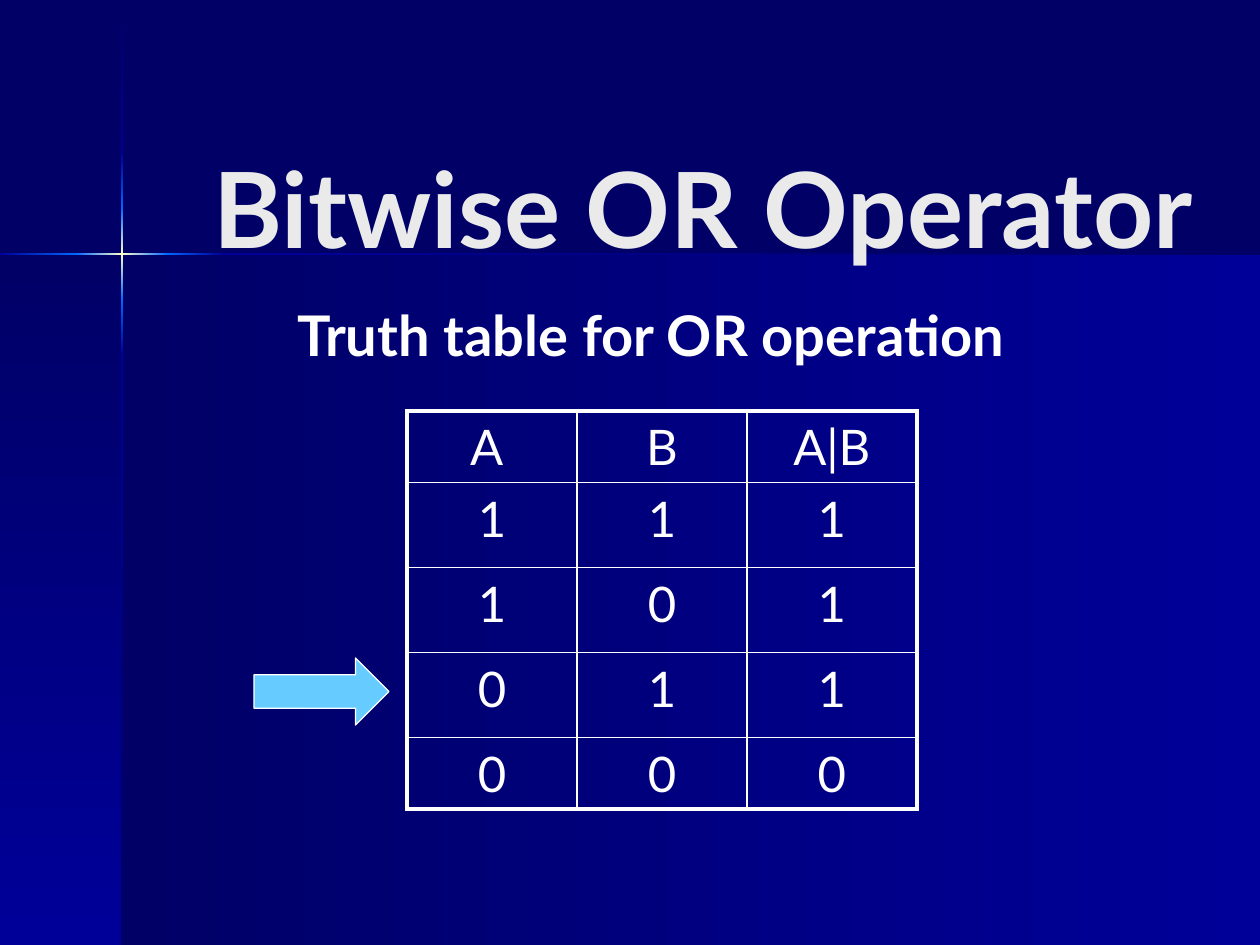
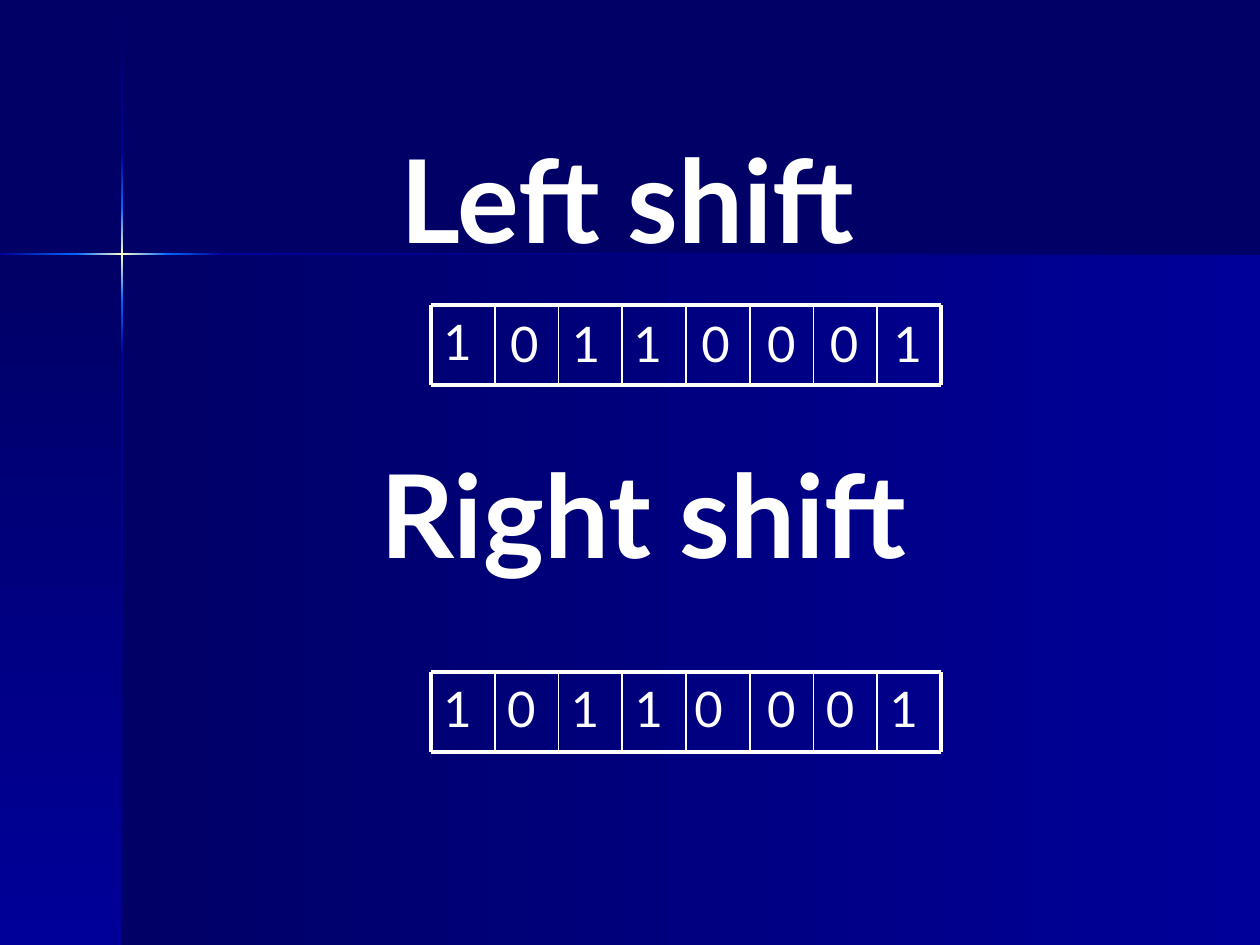
from lxml import etree
from pptx import Presentation
from pptx.dml.color import RGBColor
from pptx.enum.shapes import MSO_CONNECTOR, MSO_SHAPE
from pptx.enum.text import MSO_ANCHOR, PP_ALIGN
from pptx.oxml.ns import qn
from pptx.util import Pt

LINE = MSO_CONNECTOR.STRAIGHT
RECT, ARROW = MSO_SHAPE.RECTANGLE, MSO_SHAPE.RIGHT_ARROW
LEFT, CENTER = PP_ALIGN.LEFT, PP_ALIGN.CENTER
TOP, MIDDLE = MSO_ANCHOR.TOP, MSO_ANCHOR.MIDDLE

SCALE = 914400 / 126
WIDE, HIGH = 1260, 945
FONT = "Lato"
COLORS = {
    "navy": "000066",
    "blue": "000099",
    "glow": "0066FF",
    "spark": "FFFFCC",
    "sky": "66CCFF",
    "title": "EAEAEA",
    "white": "FFFFFF",
}
THICK, THIN = 2.25, 1

# Left, top, width, height, angle (0 rightward, 270 downward), colour stops
BANDS = [
    (122, 255, 1138, 690, 0, ["navy", "blue"]),
    (0, 255, 122, 690, 270, ["navy", "blue"]),
    (121, 1, 2, 152, 270, ["navy", "blue"]),
    (121, 355, 2, 590, 270, ["blue", "navy"]),
    (223, 253, 1037, 2, 0, ["blue", "navy"]),
    (121, 300, 2, 55, 270, ["glow", "blue"]),
    (121, 153, 2, 55, 270, ["blue", "glow"]),
    (121, 208, 2, 92, 270, ["glow", "spark", "glow"]),
    (0, 253, 76, 2, 0, ["blue", "glow"]),
    (168, 253, 55, 2, 0, ["glow", "blue"]),
    (76, 253, 92, 2, 0, ["glow", "spark", "glow"]),
]


def px(num):
    return round(num * SCALE)


def rgb(name):
    return RGBColor.from_string(COLORS[name])


def write(frame, text, size=28, color="white", bold=False, align=LEFT):
    para = frame.paragraphs[0]
    para.alignment = align
    run = para.add_run()
    run.text = text
    font = run.font
    font.name, font.size, font.bold = FONT, Pt(size), bold
    font.color.rgb = rgb(color)


def label(slide, box, text, anchor=TOP, **style):
    frame = slide.shapes.add_textbox(*map(px, box)).text_frame
    frame.word_wrap = True
    frame.vertical_anchor = anchor
    write(frame, text, **style)


def shade(shape, angle, names):
    """Fill a shape with evenly spaced colour stops."""
    shape.fill.gradient()
    shape.fill.gradient_angle = angle
    stops = shape._element.spPr.find(qn("a:gradFill")).find(qn("a:gsLst"))
    for old in list(stops):
        stops.remove(old)
    for i, name in enumerate(names):
        pos = str(100000 * i // (len(names) - 1))
        stop = etree.SubElement(stops, qn("a:gs"), pos=pos)
        etree.SubElement(stop, qn("a:srgbClr"), val=COLORS[name])


def backdrop(slide):
    for *box, angle, names in BANDS:
        band = slide.shapes.add_shape(RECT, *map(px, box))
        band.shadow.inherit = False
        band.line.fill.background()
        shade(band, angle, names)


def rule(slide, x1, y1, x2, y2, weight):
    line = slide.shapes.add_connector(LINE, *map(px, (x1, y1, x2, y2)))
    line.line.color.rgb = rgb("white")
    line.line.width = Pt(weight)
    etree.SubElement(line._element.spPr, qn("a:effectLst"))


def border(cell, sides):
    """Draw cell edges; sides maps L, R, T, B to a weight, in that order."""
    props = cell._tc.get_or_add_tcPr()
    for i, (side, weight) in enumerate(sides.items()):
        edge = etree.Element(qn("a:ln" + side), w=str(Pt(weight)))
        fill = etree.SubElement(edge, qn("a:solidFill"))
        etree.SubElement(fill, qn("a:srgbClr"), val=COLORS["white"])
        props.insert(i, edge)


def truth(slide, box, rows, heights):
    """Table with a thick frame and thin inner lines."""
    down, across = len(rows), len(rows[0])
    table = slide.shapes.add_table(down, across, *map(px, box)).table
    table.first_row = table.horz_banding = False
    for col in table.columns:
        col.width = px(box[2] / across)
    for r, (row, high) in enumerate(zip(rows, heights)):
        table.rows[r].height = px(high)
        for c, text in enumerate(row):
            cell = table.cell(r, c)
            cell.fill.background()
            write(cell.text_frame, text, align=CENTER)
            outer = {"L": c == 0, "R": c == across - 1,
                     "T": r == 0, "B": r == down - 1}
            border(cell, {s: THICK if out else THIN for s, out in outer.items()})


def bits(slide, box, digits, nudges, drop=0):
    """Row of bit cells; nudges shift digits, drop lowers all but the first."""
    x, y, w, h = box
    count = len(digits)
    step = w / count
    for i, (digit, nudge) in enumerate(zip(digits, nudges)):
        fall = drop if i else 0
        label(slide, (x + i * step + nudge, y + fall, 64, h), digit)
    for edge in (y, y + h):
        rule(slide, x, edge, x + w, edge, THICK)
    for i in range(count + 1):
        at = x + i * step
        rule(slide, at, y, at, y + h, THIN if 0 < i < count else THICK)


def pointer(slide, box):
    arrow = slide.shapes.add_shape(ARROW, *map(px, box))
    arrow.shadow.inherit = False
    arrow.fill.solid()
    arrow.fill.fore_color.rgb = rgb("sky")
    arrow.line.color.rgb = rgb("white")
    arrow.line.width = Pt(0.75)


def or_slide(slide):
    backdrop(slide)
    label(slide, (73, 107, 1260, 198), "Bitwise OR Operator", anchor=MIDDLE,
          size=60, color="title", bold=True, align=CENTER)
    label(slide, (84, 294, 1134, 651), "Truth table for OR operation",
          size=32, bold=True, align=CENTER)
    rows = [["A ", "B", "A|B"], "111", "101", "011", "000"]
    truth(slide, (407, 411, 510, 397), rows, [71, 85, 85, 85, 71])
    pointer(slide, (254, 658, 135, 67))


def shift_slide(slide):
    backdrop(slide)
    digits = "10110001"
    label(slide, (388, 122, 547, 151), "Left shift", size=66, bold=True)
    bits(slide, (431, 305, 510, 80), digits, [0, 3, 1, -1, 3, 5, 4, 4], drop=2)
    label(slide, (368, 437, 633, 151), "Right shift", size=66, bold=True)
    bits(slide, (431, 672, 510, 80), digits, [0, 0, 0, 0, -4, 5, 0, 0])


def main():
    deck = Presentation()
    deck.slide_width, deck.slide_height = px(WIDE), px(HIGH)
    ground = deck.slide_master.background.fill
    ground.solid()
    ground.fore_color.rgb = rgb("navy")
    for build in (or_slide, shift_slide):
        build(deck.slides.add_slide(deck.slide_layouts[6]))
    deck.save("out.pptx")


if __name__ == "__main__":
    main()
